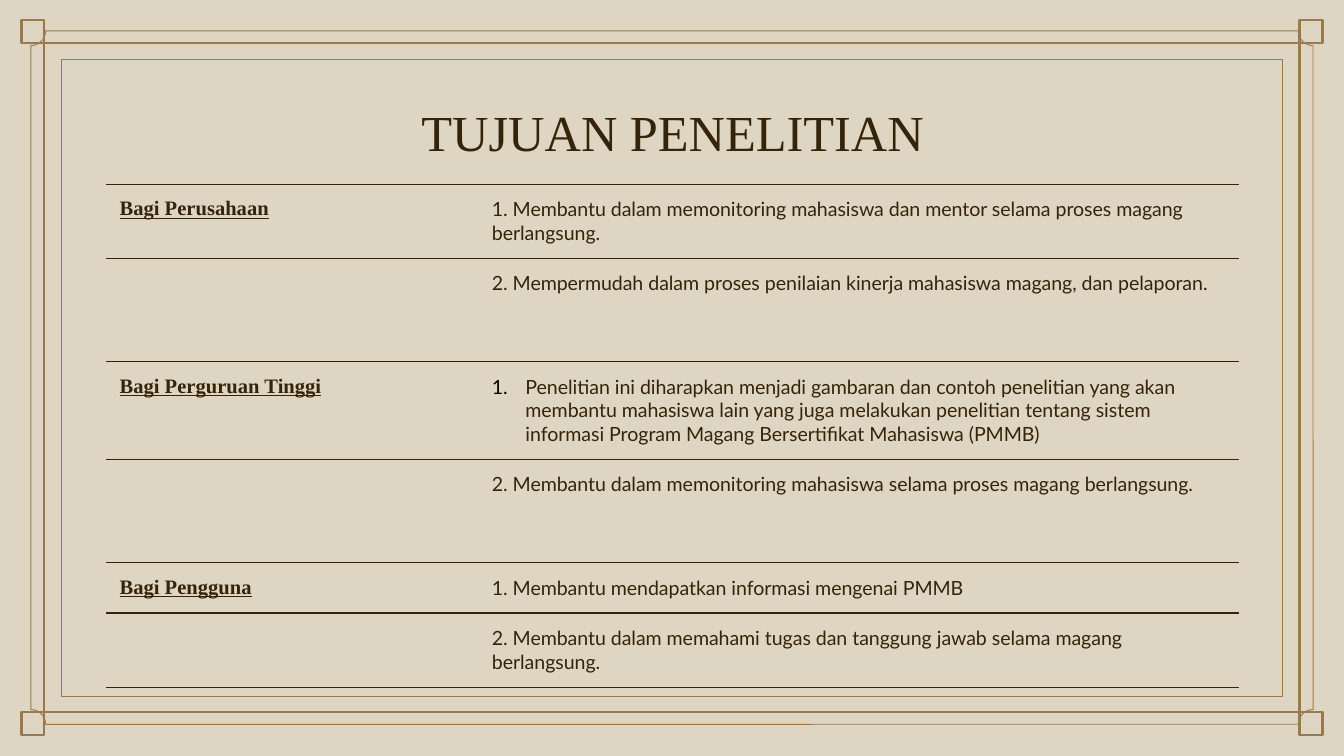
import pptx
import pptx.dml.color
import pptx.enum.shapes
import pptx.enum.text
import pptx.oxml
import pptx.oxml.ns
import pptx.util
from pptx.util import Inches

BACKGROUND, FRAME, INK = "DED6C2", "9B794E", "35240A"
NAMESPACE = pptx.oxml.ns.nsdecls("a")
NO_STYLE = "{2D5ABB26-0587-4C30-8999-92F81FD0307C}"


def color(value):
    return pptx.dml.color.RGBColor.from_string(value)


def format_text(paragraph, font_name, size, emphasis=False):
    for run in paragraph.runs:
        run.font.name = font_name
        run.font.size = pptx.util.Pt(size)
        run.font.color.rgb = color(INK)
        run.font.bold = emphasis
        run.font.underline = emphasis


presentation = pptx.Presentation()
presentation.slide_width = Inches(10)
presentation.slide_height = Inches(10) * 9 // 16
slide = presentation.slides.add_slide(presentation.slide_layouts[5])
slide.background.fill.solid()
slide.background.fill.fore_color.rgb = color(BACKGROUND)

# Decorative frame: corner squares, two rectangles and a notched outline
RECTANGLE = pptx.enum.shapes.MSO_SHAPE.RECTANGLE
PLAQUE = pptx.enum.shapes.MSO_SHAPE.PLAQUE
outlines = [(RECTANGLE, x, y, 0.17, 0.17, 1.28) for x in (0.16, 9.67) for y in (0.15, 5.3)]
outlines += [
    (RECTANGLE, 0.33, 0.32, 9.34, 4.98, 1.28),
    (RECTANGLE, 0.46, 0.44, 9.08, 4.74, 0.5),
    (PLAQUE, 0.23, 0.23, 9.54, 5.16, 0.5),
]
for kind, left, top, width, height, weight in outlines:
    shape = slide.shapes.add_shape(kind, Inches(left), Inches(top), Inches(width), Inches(height))
    shape.shadow.inherit = False
    shape.fill.background()
    shape.line.color.rgb = color(FRAME)
    shape.line.width = pptx.util.Pt(weight)
    if kind == PLAQUE:
        shape.adjustments[0] = 0.11 / height

title = slide.shapes.title
title.left, title.top, title.width, title.height = Inches(0.79), Inches(0.65), Inches(8.43), Inches(0.63)
title_frame = title.text_frame
title_frame.text = "TUJUAN PENELITIAN"
title_frame.auto_size = pptx.enum.text.MSO_AUTO_SIZE.NONE
title_frame.vertical_anchor = pptx.enum.text.MSO_ANCHOR.BOTTOM
title_frame.margin_left = title_frame.margin_right = title_frame.margin_top = Inches(0.1)
title_frame.margin_bottom = Inches(0.08)
title_frame.paragraphs[0].alignment = pptx.enum.text.PP_ALIGN.CENTER
format_text(title_frame.paragraphs[0], "Times New Roman", 27)

# Row height, beneficiary, objective
rows = [
    (0.55, "Bagi Perusahaan", "1. Membantu dalam memonitoring mahasiswa dan mentor selama proses magang berlangsung."),
    (0.77, "", "2. Mempermudah dalam proses penilaian kinerja mahasiswa magang, dan pelaporan."),
    (0.72, "Bagi Perguruan Tinggi",
     "Penelitian ini diharapkan menjadi gambaran dan contoh penelitian yang akan membantu mahasiswa lain "
     "yang juga melakukan penelitian tentang sistem informasi Program Magang Bersertifikat Mahasiswa (PMMB)"),
    (0.77, "", "2. Membantu dalam memonitoring mahasiswa selama proses magang berlangsung."),
    (0.37, "Bagi Pengguna", "1. Membantu mendapatkan informasi mengenai PMMB"),
    (0.55, "", "2. Membantu dalam memahami tugas dan tanggung jawab selama magang berlangsung."),
]
table_height = sum(row[0] for row in rows)
table = slide.shapes.add_table(
    len(rows), 2, Inches(0.79), Inches(1.37), Inches(8.43), Inches(table_height)).table
table.first_row = table.horz_banding = False
table._tbl.tblPr.find(pptx.oxml.ns.qn("a:tableStyleId")).text = NO_STYLE
table.columns[0].width = Inches(2.77)
table.columns[1].width = Inches(5.66)

for row_index, (height, beneficiary, objective) in enumerate(rows):
    table.rows[row_index].height = Inches(height)
    for column, text in enumerate((beneficiary, objective)):
        cell = table.cell(row_index, column)
        cell.margin_left = cell.margin_right = cell.margin_top = cell.margin_bottom = Inches(0.1)
        cell.fill.background()
        properties = cell._tc.get_or_add_tcPr()
        for position, side in enumerate(("lnT", "lnB")):
            properties.insert(position, pptx.oxml.parse_xml(
                f'<a:{side} {NAMESPACE} w="9525"><a:solidFill><a:srgbClr val="{INK}"/>'
                f'</a:solidFill></a:{side}>'))
        if text:
            cell.text_frame.text = text
            paragraph = cell.text_frame.paragraphs[0]
            if column == 0:
                format_text(paragraph, "Times New Roman", 11, emphasis=True)
            else:
                format_text(paragraph, "Lato", 10.5)

# The longest objective is an automatically numbered item
numbered = table.cell(2, 1).text_frame.paragraphs[0]._p.get_or_add_pPr()
numbered.set("marL", str(Inches(0.25)))
numbered.set("indent", str(Inches(-0.25)))
for bullet in (
    f'<a:buClr {NAMESPACE}><a:srgbClr val="000000"/></a:buClr>',
    f'<a:buFont {NAMESPACE} typeface="Lato"/>',
    f'<a:buAutoNum {NAMESPACE} type="arabicPeriod"/>',
):
    numbered.append(pptx.oxml.parse_xml(bullet))

presentation.save("out.pptx")
